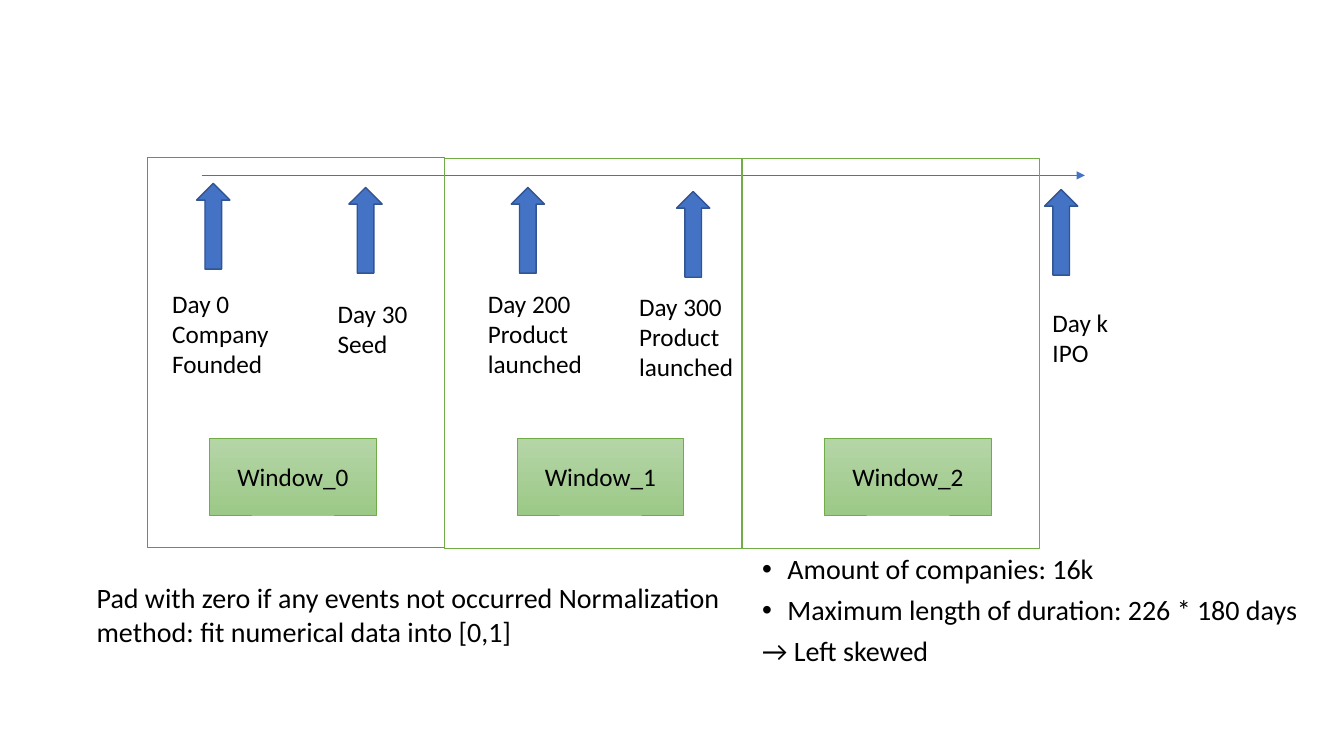
from lxml import etree
from pptx import Presentation
from pptx.dml.color import RGBColor
from pptx.enum.shapes import MSO_CONNECTOR, MSO_SHAPE
from pptx.enum.text import MSO_ANCHOR, PP_ALIGN
from pptx.oxml.ns import qn
from pptx.util import Inches, Pt

RECT, ARROW = MSO_SHAPE.RECTANGLE, MSO_SHAPE.DOWN_ARROW
STRAIGHT = MSO_CONNECTOR.STRAIGHT
CENTER, MIDDLE = PP_ALIGN.CENTER, MSO_ANCHOR.MIDDLE
BLUE = RGBColor(0x44, 0x72, 0xC4)
DARK_BLUE = RGBColor(0x32, 0x54, 0x91)
GREEN = RGBColor(0x70, 0xAD, 0x47)
LIGHT_GREEN = RGBColor(0xB5, 0xD5, 0xA7)
MID_GREEN = RGBColor(0x9C, 0xC9, 0x87)
GRAY = RGBColor(0x7F, 0x7F, 0x7F)
BLACK = RGBColor(0, 0, 0)


def write(tf, lines, size):
    tf.text = "\n".join(lines)
    tf.word_wrap = True
    for p in tf.paragraphs:
        p.font.name = "Calibri"
        p.font.size = Pt(size)
        p.font.color.rgb = BLACK


def add_shape(kind, x, y, w, h, line, weight):
    sp = s.shapes.add_shape(kind, Inches(x), Inches(y), Inches(w), Inches(h))
    sp.shadow.inherit = False
    sp.line.color.rgb = line
    sp.line.width = Pt(weight)
    return sp


prs = Presentation()
prs.slide_width = Inches(13.33)
prs.slide_height = Inches(7.5)
s = prs.slides.add_slide(prs.slide_layouts[1])
title = s.shapes.title.element
title.getparent().remove(title)

timeline = s.shapes.add_connector(STRAIGHT, Inches(2), Inches(1.74), Inches(10.76), Inches(1.74))
timeline.line.color.rgb = BLUE
timeline.line.width = Pt(0.5)
ln = timeline.line._get_or_add_ln()
etree.SubElement(ln, qn("a:tailEnd"), type="triangle")
etree.SubElement(timeline._element.spPr, qn("a:effectLst"))

events = [
    (1.95, 1.82, 1.61, 2.81, ["Day 0", "Company Founded"]),
    (3.46, 1.86, 3.25, 2.91, ["Day 30", "Seed"]),
    (5.07, 1.86, 4.74, 2.81, ["Day 200", "Product launched"]),
    (6.71, 1.9, 6.24, 2.84, ["Day 300", "Product launched"]),
    (10.36, 1.88, 10.34, 3, ["Day k ", "IPO"]),
]
for arrow_x, arrow_y, x, y, lines in events:
    arrow = add_shape(ARROW, arrow_x, arrow_y, 0.33, 0.85, DARK_BLUE, 1)
    arrow.rotation = 180
    arrow.fill.solid()
    arrow.fill.fore_color.rgb = BLUE
    label = s.shapes.add_textbox(Inches(x), Inches(y), Inches(1.25), Inches(1.01))
    write(label.text_frame, lines, 18)

for i in range(3):
    box = add_shape(RECT, 2.08 + 3.05 * i, 4.35, 1.65, 0.76, GREEN, 0.5)
    box.fill.gradient()
    box.fill.gradient_angle = 270
    for stop, color, position in zip(box.fill.gradient_stops, (LIGHT_GREEN, MID_GREEN), (0, 1)):
        stop.color.rgb = color
        stop.position = position
    write(box.text_frame, [f"Window_{i}"], 18)
    box.text_frame.vertical_anchor = MIDDLE
    box.text_frame.paragraphs[0].alignment = CENTER

frames = [(1.56, GRAY, 0.5), (1.57, GREEN, 1), (1.57, GREEN, 1)]
for i, (y, color, weight) in enumerate(frames):
    frame = add_shape(RECT, 1.46 + 2.95 * i, y, 2.95, 3.87, color, weight)
    frame.fill.background()

note = s.shapes.add_textbox(Inches(0.86), Inches(5.71), Inches(7.31), Inches(0.77))
write(note.text_frame, ["Pad with zero if any events not occurred Normalization "
                        "method: fit numerical data into [0,1]"], 20)

body = s.placeholders[1]
body.left, body.top = Inches(7.46), Inches(5.49)
body.width, body.height = Inches(5.67), Inches(1.23)
facts = ["Amount of companies: 16k", "Maximum length of duration: 226 * 180 days", "→ Left skewed "]
write(body.text_frame, facts, 20)
for p in body.text_frame.paragraphs:
    p.line_spacing = 0.8
    p.space_before = Pt(10)
    pPr = p._p.get_or_add_pPr()
    bulleted = not p.text.startswith("→")
    indent = Inches(0.25) if bulleted else 0
    pPr.set("marL", str(indent))
    pPr.set("indent", str(-indent))
    bullet = etree.Element(qn("a:buChar"), char="•") if bulleted else etree.Element(qn("a:buNone"))
    pPr.find(qn("a:defRPr")).addprevious(bullet)

prs.save("out.pptx")
